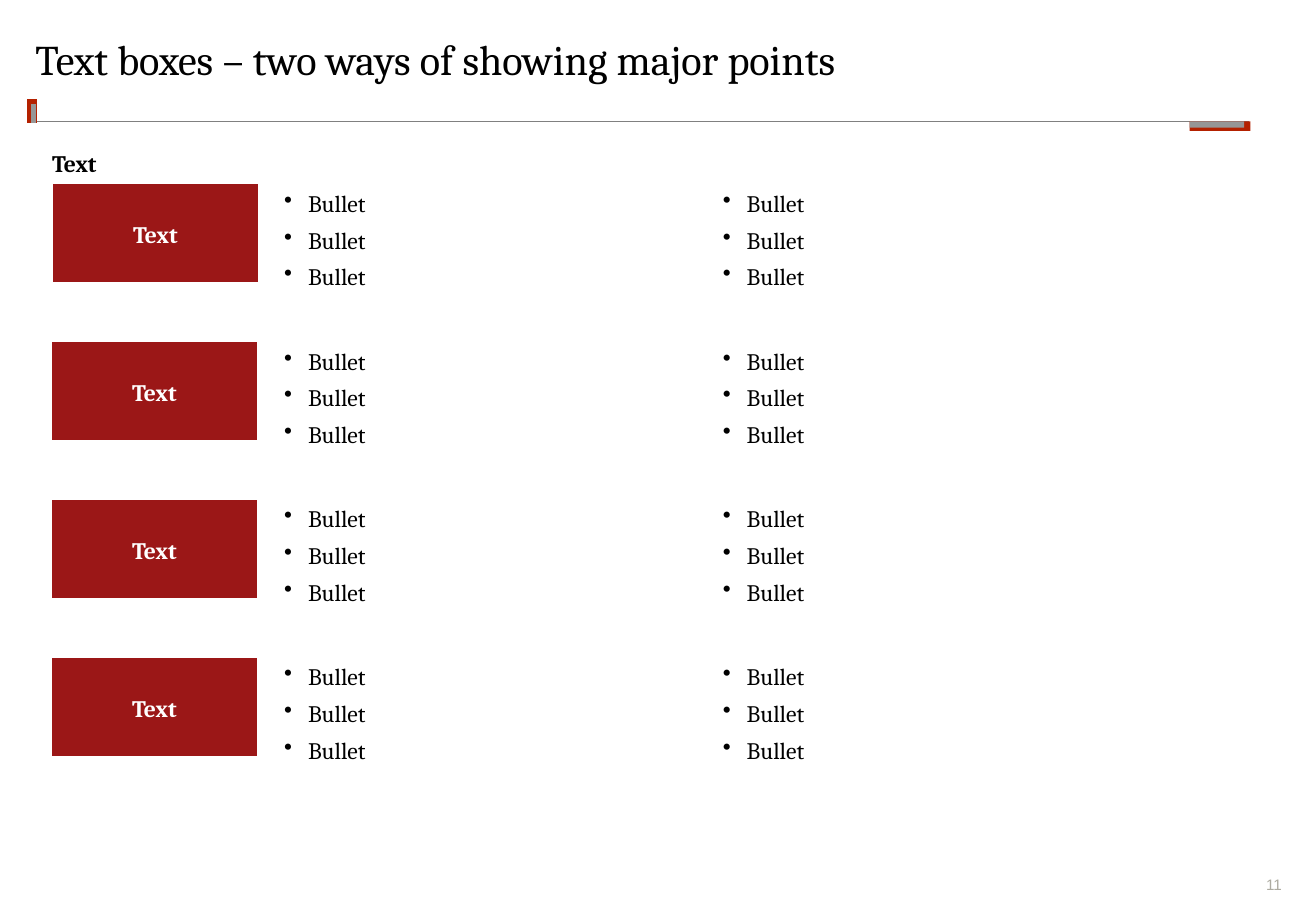
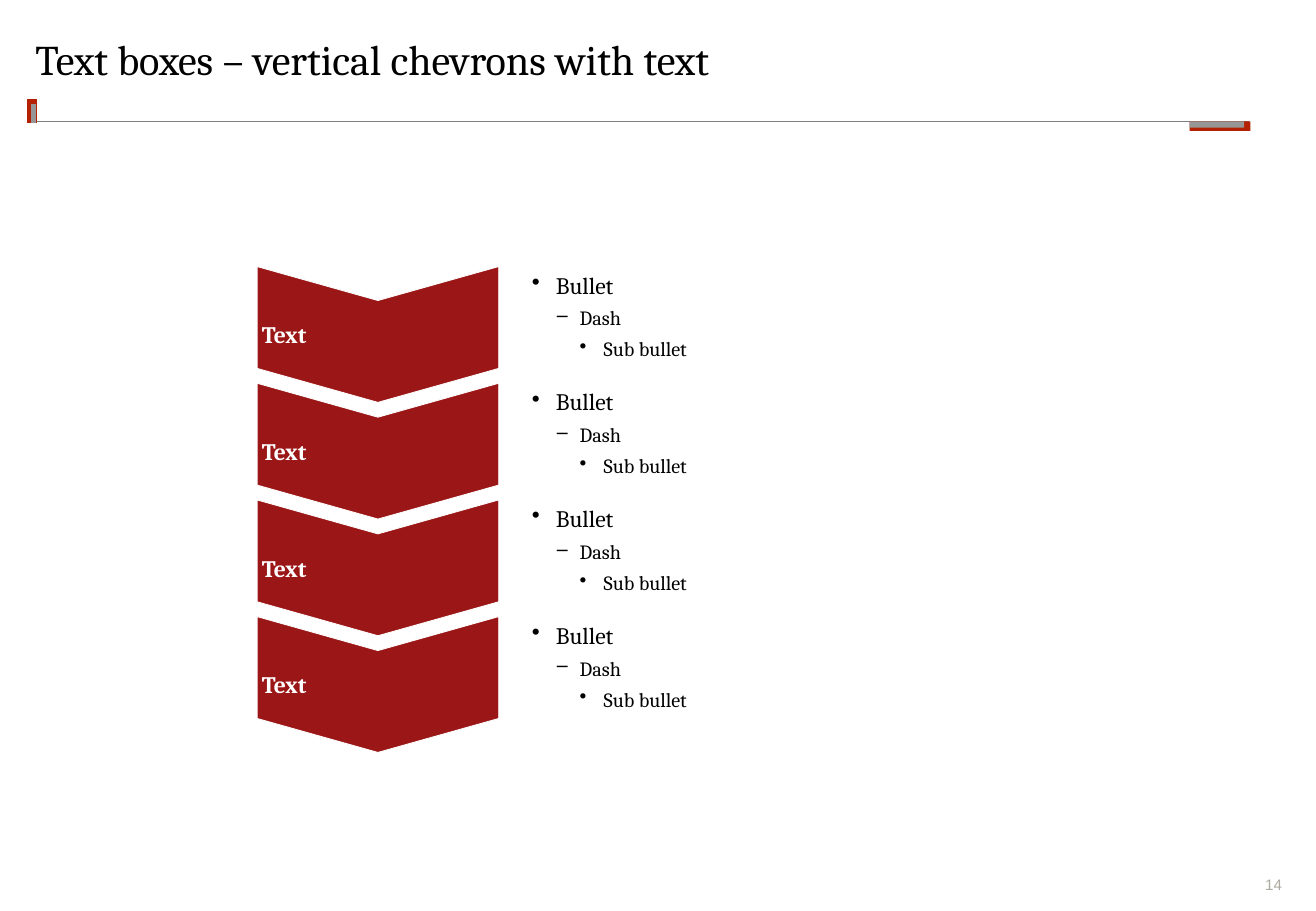
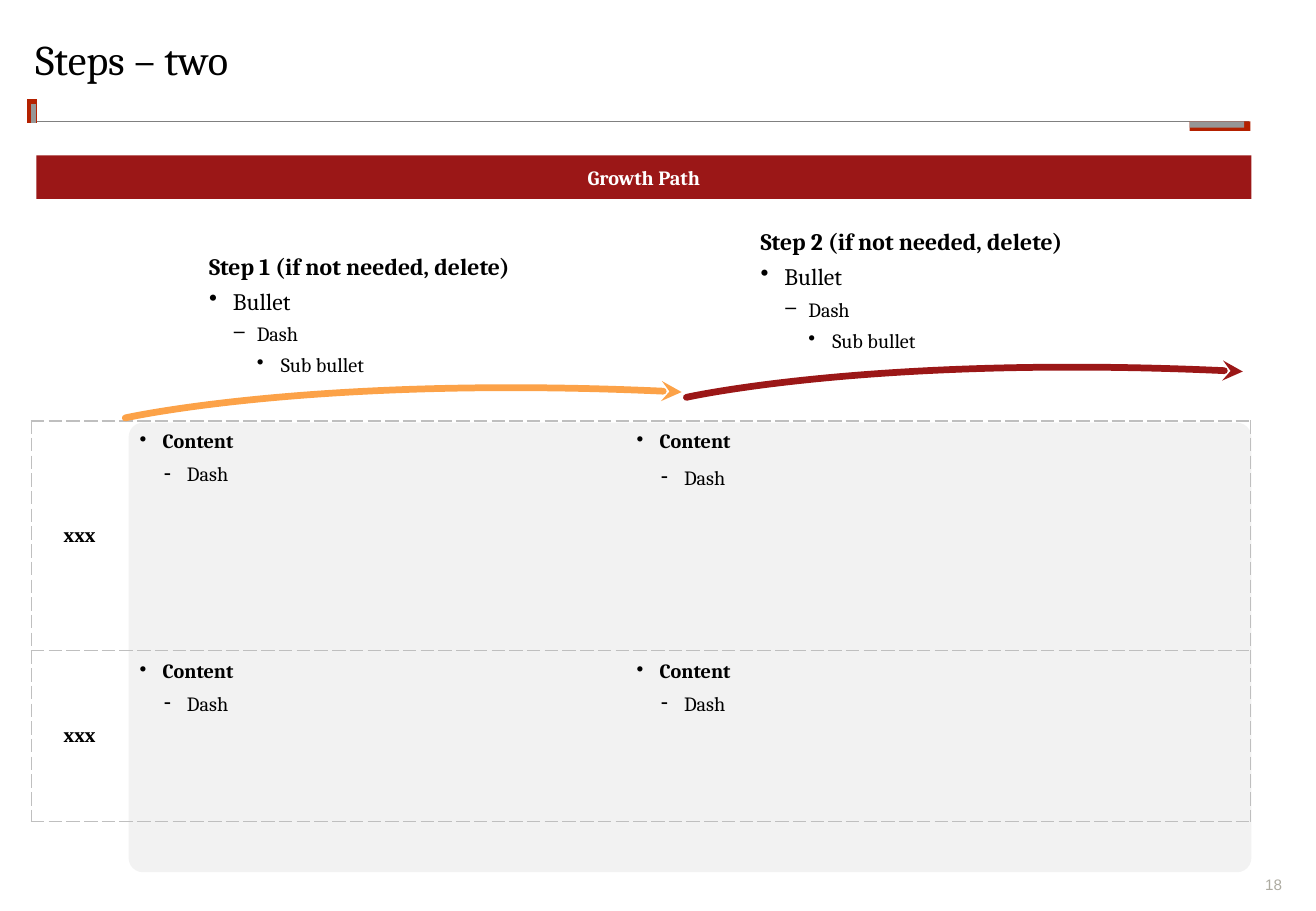
from dataclasses import dataclass
from typing import Optional, Sequence

from lxml.etree import SubElement
from pptx import Presentation
from pptx.dml.color import RGBColor
from pptx.enum.shapes import MSO_CONNECTOR, MSO_SHAPE
from pptx.enum.text import MSO_ANCHOR as Anchor, MSO_AUTO_SIZE, PP_ALIGN as Align
from pptx.oxml.ns import qn
from pptx.util import Cm, Pt

# Shared look
SERIF, SANS = "Cambria", "Arial"
BLACK, WHITE = "000000", "FFFFFF"
DEEP_RED, ACCENT_RED, ORANGE = "9B1717", "B42100", "FCA248"
RULE_GREY, ACCENT_GREY, NUMBER_GREY = "808080", "969696", "ADABA1"
PANEL_GREY, BORDER_GREY = "F2F2F2", "BFBFBF"
INSET = 0.1


@dataclass(frozen=True)
class Box:
    """Left, top, width and height in centimetres."""
    left: float
    top: float
    width: float
    height: float

    def lengths(self) -> list:
        return [Cm(value) for value in (self.left, self.top, self.width, self.height)]

    def moved(self, right: float = 0, down: float = 0) -> "Box":
        return Box(self.left + right, self.top + down, self.width, self.height)


@dataclass(frozen=True)
class Line:
    """One paragraph with its style; indent and hanging in centimetres."""
    text: str
    size: float = 14
    bold: bool = False
    color: str = BLACK
    font: str = SERIF
    align: Align = Align.LEFT
    bullet: str = ""
    level: int = 0
    indent: float = 0
    hanging: float = 0.5
    before: float = 0
    spacing: Optional[float] = None


@dataclass(frozen=True)
class Stroke:
    """A straight rule of the title band, in centimetres."""
    x1: float
    y1: float
    x2: float
    y2: float
    color: str
    width: float


TITLE_BOX = Box(0.74, 0.81, 26.04, 1.7)
NUMBER_BOX = Box(26.01, 18.31, 0.79, 0.38)
BAND_STROKES = [
    Stroke(0.76, 2.54, 26.11, 2.54, RULE_GREY, 1),
    Stroke(0.66, 2.57, 0.66, 2.06, ACCENT_RED, 6),
    Stroke(0.71, 2.57, 0.71, 2.18, ACCENT_GREY, 3),
]
BAND_TABS = [(Box(24.87, 2.54, 1.27, 0.2), ACCENT_RED),
             (Box(24.87, 2.54, 1.14, 0.13), ACCENT_GREY)]
OUTLINE = [
    Line("Bullet", bullet="•", level=1, indent=0.5, before=4),
    Line("Dash", 12, bullet="‒", level=2, indent=1, before=4),
    Line("Sub bullet", 12, bullet="•", level=3, indent=1.5, before=4),
]


def rgb(color: str) -> RGBColor:
    return RGBColor.from_string(color)


# Text
def write(frame, lines: Sequence[Line]) -> None:
    frame.text = "\n".join(line.text for line in lines)
    for paragraph, line in zip(frame.paragraphs, lines):
        paragraph.alignment = line.align
        paragraph.level = line.level
        paragraph.space_before = Pt(line.before)
        paragraph.line_spacing = line.spacing
        if line.bullet:
            properties = paragraph._p.get_or_add_pPr()
            properties.set("marL", str(Cm(line.indent)))
            properties.set("indent", str(-Cm(line.hanging)))
            SubElement(properties, qn("a:buChar"), char=line.bullet)
        for run in paragraph.runs:
            run.font.name = line.font
            run.font.size = Pt(line.size)
            run.font.bold = line.bold
            run.font.color.rgb = rgb(line.color)


def set_frame(frame, inset: float, anchor: Anchor, wrap: bool = True) -> None:
    frame.auto_size = MSO_AUTO_SIZE.NONE
    frame.word_wrap = wrap
    frame.vertical_anchor = anchor
    frame.margin_left = frame.margin_right = Cm(inset)
    frame.margin_top = frame.margin_bottom = Cm(inset)


def add_text(slide, box: Box, lines: Sequence[Line], inset: float = INSET,
             anchor: Anchor = Anchor.TOP, wrap: bool = True) -> None:
    frame = slide.shapes.add_textbox(*box.lengths()).text_frame
    set_frame(frame, inset, anchor, wrap)
    write(frame, lines)


# Shapes
def add_block(slide, box: Box, fill: str, preset: MSO_SHAPE = MSO_SHAPE.RECTANGLE,
              lines: Sequence[Line] = (), border: float = 0):
    shape = slide.shapes.add_shape(preset, *box.lengths())
    shape.shadow.inherit = False
    shape.fill.solid()
    shape.fill.fore_color.rgb = rgb(fill)
    if border:
        shape.line.color.rgb = rgb(WHITE)
        shape.line.width = Pt(border)
    else:
        shape.line.fill.background()
    if lines:
        set_frame(shape.text_frame, INSET, Anchor.MIDDLE)
        write(shape.text_frame, lines)
    return shape


def add_stroke(slide, stroke: Stroke) -> None:
    ends = [Cm(value) for value in (stroke.x1, stroke.y1, stroke.x2, stroke.y2)]
    connector = slide.shapes.add_connector(MSO_CONNECTOR.STRAIGHT, *ends)
    connector.line.color.rgb = rgb(stroke.color)
    connector.line.width = Pt(stroke.width)
    SubElement(connector._element.spPr, qn("a:effectLst"))


def add_curved_arrow(slide, left: float, top: float, color: str) -> None:
    """Draw a rising curve from its start point, ending in an arrowhead."""
    start = (left, top)
    controls = [start, (left + 4.06, top - 0.92), (left + 11.63, top - 0.54)]
    builder = slide.shapes.build_freeform(Cm(left), Cm(top))
    builder.add_line_segments([(Cm(x), Cm(y)) for x, y in controls], close=False)
    arrow = builder.convert_to_shape()
    arrow.shadow.inherit = False
    arrow.fill.background()
    arrow.line.color.rgb = rgb(color)
    arrow.line.width = Pt(4)
    # The three segments become one cubic curve
    segments = list(arrow._element.iter(qn("a:lnTo")))
    outline = segments[0].getparent()
    curve = SubElement(outline, qn("a:cubicBezTo"))
    for segment in segments:
        curve.append(segment[0])
        outline.remove(segment)
    line = arrow.line._get_or_add_ln()
    line.set("cap", "rnd")
    SubElement(line, qn("a:tailEnd"), type="stealth")


# Table cells
def set_borders(cell, sides: str) -> None:
    """Dash the named sides (any of L, R, T, B) and clear the others."""
    properties = cell._tc.get_or_add_tcPr()
    for side in "LRTB":
        line = SubElement(properties, qn(f"a:ln{side}"), w=str(Pt(1)))
        if side in sides:
            fill = SubElement(line, qn("a:solidFill"))
            SubElement(fill, qn("a:srgbClr"), val=BORDER_GREY)
            SubElement(line, qn("a:prstDash"), val="sysDash")
        else:
            SubElement(line, qn("a:noFill"))
    cell.fill.background()


def fill_cell(cell, lines: Sequence[Line], side_inset: float, edge_inset: float,
              anchor: Anchor = Anchor.TOP) -> None:
    cell.margin_left = cell.margin_right = Cm(side_inset)
    cell.margin_top = cell.margin_bottom = Cm(edge_inset)
    cell.vertical_anchor = anchor
    write(cell.text_frame, lines)


def content_lines(before: float) -> list[Line]:
    return [
        Line("Content", 12, True, bullet="•", indent=0.48, hanging=0.48,
             before=before, spacing=1.14),
        Line("Dash", 12, bullet="-", indent=0.99, hanging=0.48,
             before=before, spacing=1.14),
    ]


def add_content_table(slide) -> None:
    widths, heights = [2.01, 10.64, 12.83], [0.75, 4.8, 3.58]
    box = Box(0.66, 8.05, sum(widths), sum(heights))
    table = slide.shapes.add_table(len(heights), len(widths), *box.lengths()).table
    table.first_row = table.horz_banding = False
    for column, width in zip(table.columns, widths):
        column.width = Cm(width)
    for row, height in zip(table.rows, heights):
        row.height = Cm(height)
    # Empty heading row across all columns
    for cell in table.rows[0].cells:
        fill_cell(cell, [], 0, 0)
        SubElement(cell.text_frame.paragraphs[0]._p, qn("a:endParaRPr"), sz="800")
        set_borders(cell, "B")
    table.cell(0, 0).merge(table.cell(0, 2))
    # Named rows with two content columns
    for row, last_before in ((1, 6), (2, 4)):
        name, first, last = (table.cell(row, column) for column in range(3))
        fill_cell(name, [Line("xxx", 12, True, align=Align.CENTER)],
                  INSET, INSET, Anchor.MIDDLE)
        fill_cell(first, content_lines(4), 0.25, 0.13)
        fill_cell(last, content_lines(last_before), 0, 0.13)
        for cell, sides in ((name, "LTB"), (first, "TB"), (last, "RTB")):
            set_borders(cell, sides)


# Slides
def add_slide(presentation, title: str, number: int):
    slide = presentation.slides.add_slide(presentation.slide_layouts[5])
    heading = slide.shapes.title
    heading.left, heading.top, heading.width, heading.height = TITLE_BOX.lengths()
    set_frame(heading.text_frame, 0, Anchor.TOP)
    write(heading.text_frame, [Line(title, 25, spacing=0.9)])
    for stroke in BAND_STROKES:
        add_stroke(slide, stroke)
    for box, color in BAND_TABS:
        add_block(slide, box, color)
    add_text(slide, NUMBER_BOX,
             [Line(str(number), 9, color=NUMBER_GREY, font=SANS, align=Align.RIGHT)],
             inset=0, anchor=Anchor.BOTTOM)
    return slide


def build_major_points(presentation) -> None:
    slide = add_slide(presentation, "Text boxes – two ways of showing major points", 11)
    add_text(slide, Box(1.09, 3.12, 0.99, 0.61), [Line("Text", bold=True)],
             inset=0, wrap=False)
    label = Line("Text", bold=True, color=WHITE, align=Align.CENTER, spacing=1.06)
    bullet = Line("Bullet", bullet="•", level=1, indent=0.5, before=4, spacing=1.06)
    for row in range(4):
        down = row * 3.3
        left = 1.07 if row else 1.09
        add_block(slide, Box(left, 3.84 + down, 4.32, 2.08), DEEP_RED,
                  lines=[label], border=1)
        for column_left in (5.84, 15.01):
            add_text(slide, Box(column_left, 3.81 + down, 8.66, 2.39), [bullet] * 3)


def build_chevrons(presentation) -> None:
    slide = add_slide(presentation, "Text boxes – vertical chevrons with text", 14)
    label = Line("Text", bold=True, color=WHITE)
    for row in range(4):
        down = row * 2.44
        chevron = add_block(slide, Box(6.48, 4.47, 2.84, 5.05).moved(down=down), DEEP_RED,
                            MSO_SHAPE.CHEVRON, [label], border=0.5)
        chevron.adjustments[0] = 0.25
        chevron.rotation = 90
        # Turn the text back to horizontal
        chevron.text_frame._txBody.bodyPr.set("vert", "vert270")
        add_text(slide, Box(11.02, 5.56, 13.26, 2.11).moved(down=down), OUTLINE)


def build_steps(presentation) -> None:
    slide = add_slide(presentation, "Steps – two", 18)
    panel = add_block(slide, Box(2.69, 8.84, 23.47, 9.4), PANEL_GREY,
                      MSO_SHAPE.ROUNDED_RECTANGLE)
    panel.adjustments[0] = 0.032
    add_content_table(slide)
    add_block(slide, Box(0.76, 3.25, 25.4, 0.91), DEEP_RED,
              lines=[Line("Growth Path", 12, True, WHITE, align=Align.CENTER)])
    add_curved_arrow(slide, 2.62, 8.74, ORANGE)
    add_curved_arrow(slide, 14.35, 8.31, DEEP_RED)
    for number, left, top in ((1, 4.27, 5.16), (2, 15.8, 4.65)):
        heading = Line(f"Step {number} (if not needed, delete)", bold=True, before=4)
        add_text(slide, Box(left, top, 8.84, 4.5), [heading, *OUTLINE])


def main() -> None:
    presentation = Presentation()
    presentation.slide_width, presentation.slide_height = Cm(27.51), Cm(19.05)
    build_major_points(presentation)
    build_chevrons(presentation)
    build_steps(presentation)
    presentation.save("out.pptx")


if __name__ == "__main__":
    main()
